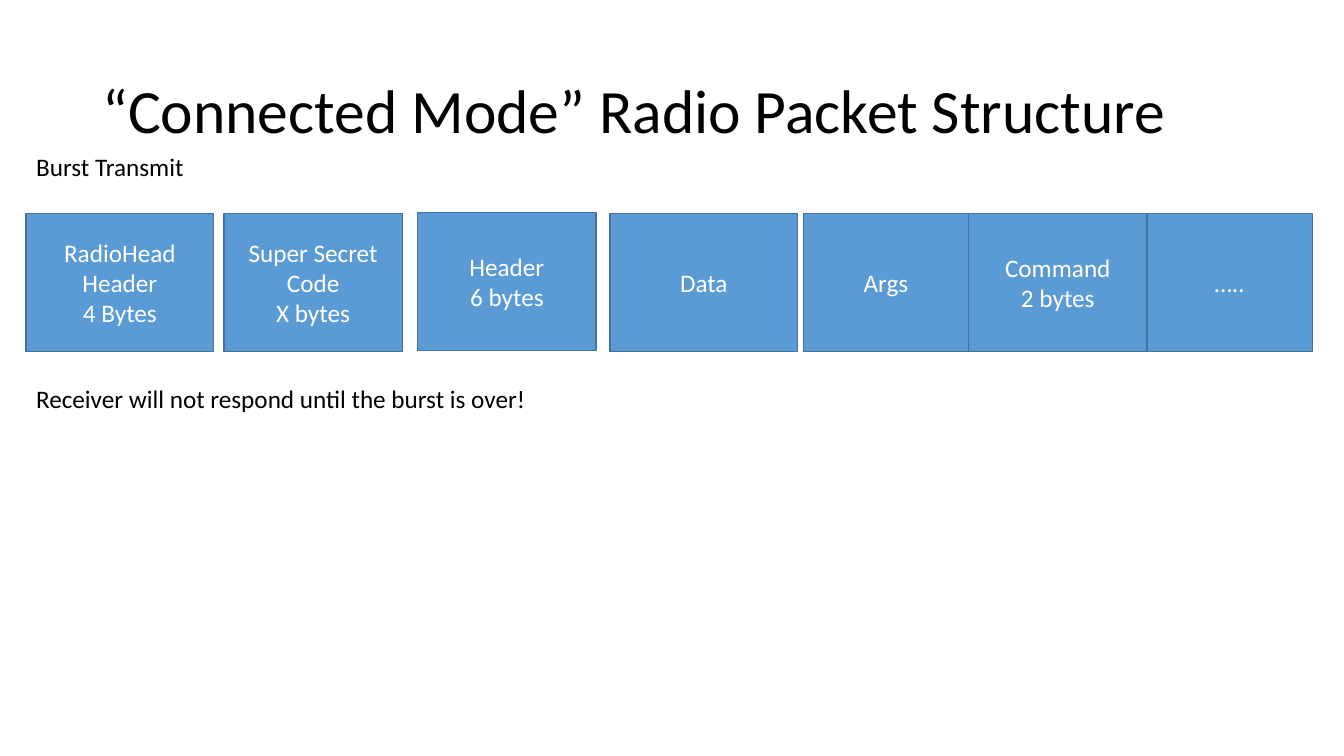
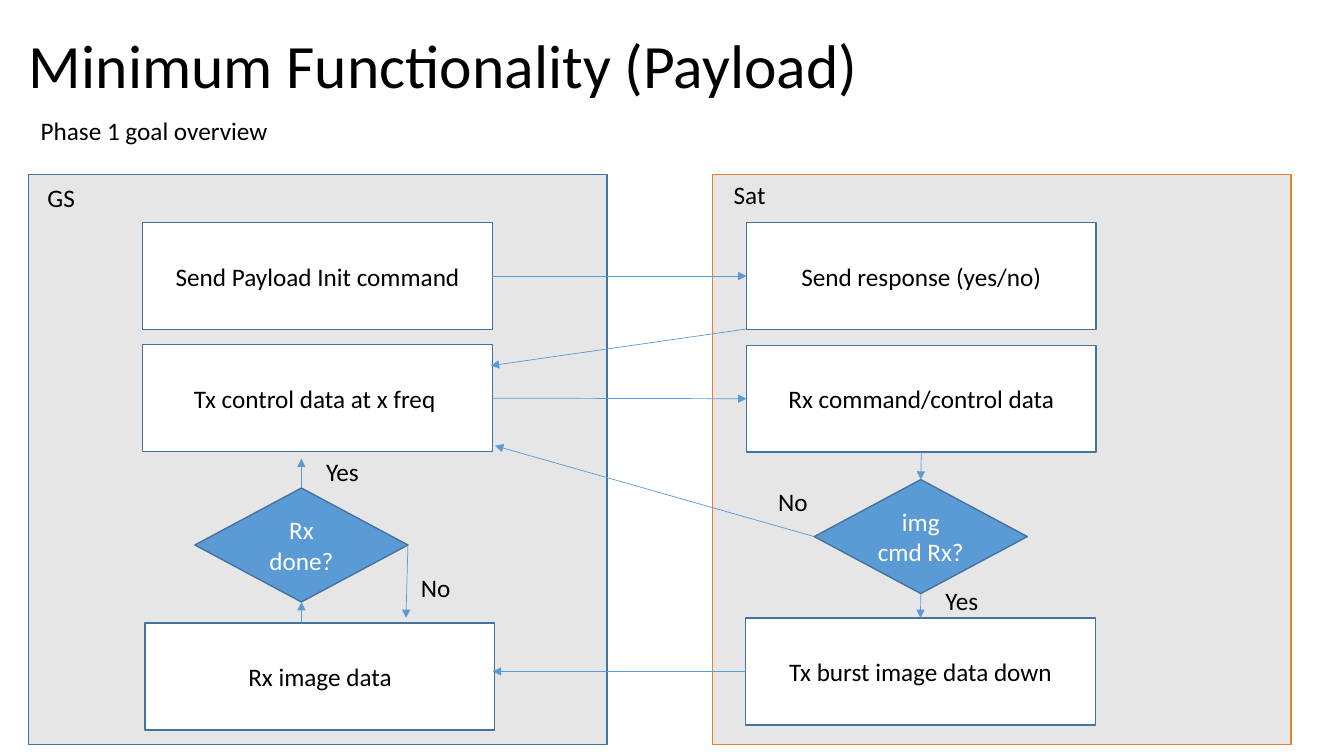
from dataclasses import dataclass
from typing import Any, Optional

import lxml.etree
import pptx
import pptx.dml.color
import pptx.enum.shapes
import pptx.enum.text
import pptx.oxml.ns
import pptx.util

Pt = pptx.util.Pt
RGBColor = pptx.dml.color.RGBColor
Shapes = pptx.enum.shapes.MSO_SHAPE
Align = pptx.enum.text.PP_ALIGN
Anchor = pptx.enum.text.MSO_ANCHOR

BLACK = RGBColor(0x00, 0x00, 0x00)
WHITE = RGBColor(0xFF, 0xFF, 0xFF)
BLUE = RGBColor(0x5B, 0x9B, 0xD5)
DARK_BLUE = RGBColor(0x43, 0x73, 0x9E)
ORANGE = RGBColor(0xED, 0x7D, 0x31)
GREY = RGBColor(0xE7, 0xE6, 0xE6)

FONT_NAME = "Calibri"
BODY_SIZE, TITLE_SIZE = 18, 44
TITLE_WIDTH, TITLE_HEIGHT = 828, 104.4
LABEL_HEIGHT = 28.8
TOP, LEFT, BOTTOM, RIGHT = range(4)


@dataclass(frozen=True)
class Style:
    kind: Any
    fill: RGBColor
    text: RGBColor
    line: RGBColor = DARK_BLUE


@dataclass(frozen=True)
class Box:
    text: str
    left: float
    top: float
    width: float
    height: float
    style: Style


@dataclass(frozen=True)
class Label:
    text: str
    left: float
    top: float
    width: float = 130


@dataclass(frozen=True)
class End:
    """A side of a named box, or a free point."""
    box: str = ""
    side: int = 0
    x: float = 0
    y: float = 0


@dataclass(frozen=True)
class Arrow:
    begin: End
    end: End


FIELD = Style(Shapes.RECTANGLE, BLUE, WHITE)
STEP = Style(Shapes.RECTANGLE, WHITE, BLACK)
DECISION = Style(Shapes.FLOWCHART_DECISION, BLUE, WHITE)
GROUND_PANEL = Style(Shapes.RECTANGLE, GREY, BLACK)
SATELLITE_PANEL = Style(Shapes.RECTANGLE, GREY, BLACK, ORANGE)

FIELD_TOP, FIELD_HEIGHT = 152.6, 98.6
WIDE, MEDIUM, NARROW = 133.9, 127.4, 118.1
FIELDS = [
    Box(text, left, top, width, FIELD_HEIGHT, FIELD)
    for text, left, top, width in [
        ("RadioHead Header\n4 Bytes", 18.7, FIELD_TOP, WIDE),
        ("Super Secret Code\nX bytes", 160, FIELD_TOP, MEDIUM),
        ("Header\n6 bytes", 298.4, FIELD_TOP - 0.7, MEDIUM),
        ("Data", 435.8, FIELD_TOP, WIDE),
        ("Args", 573.8, FIELD_TOP, NARROW),
        ("Command\n2 bytes", 573.8 + NARROW, FIELD_TOP, MEDIUM),
        ("…..", 573.8 + NARROW + MEDIUM, FIELD_TOP, NARROW),
    ]
]
PACKET_LABELS = [
    Label("Burst Transmit", 18.7, 104.4, 140),
    Label("Receiver will not respond until the burst is over!", 18.7, 270.4, 390),
]

PANELS = [
    Box("", left, 124.8, 413.3, 406.8, style)
    for left, style in [(20.2, GROUND_PANEL), (509, SATELLITE_PANEL)]
]
SEND_INIT = "Send Payload Init command"
SEND_CONTROL = "Tx control data at x freq "
RECEIVE_IMAGE = "Rx image data"
RESPOND = "Send response (yes/no)"
RECEIVE_CONTROL = "Rx command/control data"
SEND_IMAGE = "Tx burst image data down"
IMAGE_ASKED = "img cmd Rx?"
RECEIVE_DONE = "Rx done?"
STEPS = [
    Box(text, left, top, 249.8, 76.4, STEP)
    for text, left, top in [
        (SEND_INIT, 102, 159),
        (SEND_CONTROL, 102, 246.2),
        (RECEIVE_IMAGE, 103.7, 445),
        (RESPOND, 533.2, 159),
        (RECEIVE_CONTROL, 533.2, 246.6),
        (SEND_IMAGE, 532.6, 441.4),
    ]
]
DECISIONS = [
    Box(text, left, top, 152.2, 81.4, DECISION)
    for text, left, top in [(IMAGE_ASKED, 581.6, 342.6), (RECEIVE_DONE, 139.2, 348.6)]
]
ARROWS = [
    Arrow(End(SEND_INIT, RIGHT), End(RESPOND, LEFT)),
    Arrow(End(x=533.2, y=235), End(x=350.6, y=261.2)),
    Arrow(End(SEND_CONTROL, RIGHT), End(RECEIVE_CONTROL, LEFT)),
    Arrow(End(RECEIVE_CONTROL, BOTTOM), End(IMAGE_ASKED, TOP)),
    Arrow(End(IMAGE_ASKED, LEFT), End(x=353.6, y=318.4)),
    Arrow(End(IMAGE_ASKED, BOTTOM), End(SEND_IMAGE, TOP)),
    Arrow(End(SEND_IMAGE, LEFT), End(x=352, y=479.6)),
    Arrow(End(x=215.3, y=445), End(RECEIVE_DONE, BOTTOM)),
    Arrow(End(RECEIVE_DONE, RIGHT), End(x=290, y=441.4)),
    Arrow(End(RECEIVE_DONE, TOP), End(x=215.3, y=327.6)),
]
FLOW_LABELS = [
    Label("GS", 26.8, 127),
    Label("Sat", 517, 124.8),
    Label("Phase 1 goal overview", 22, 78.6, 569),
    Label("No", 548.8, 343.6),
    Label("No", 293.6, 405.4),
    Label("Yes", 225.8, 322.4),
    Label("Yes", 668.2, 414.8),
]


def write_text(shape: Any, text: str, color: RGBColor, size: float = BODY_SIZE,
               anchor: Any = Anchor.TOP, **paragraph_format: Any) -> None:
    frame = shape.text_frame
    frame.word_wrap = True
    frame.vertical_anchor = anchor
    frame.text = text
    for paragraph in frame.paragraphs:
        for name, value in paragraph_format.items():
            setattr(paragraph, name, value)
        for name, value in {"name": FONT_NAME, "size": Pt(size)}.items():
            setattr(paragraph.font, name, value)
        paragraph.font.color.rgb = color


def add_title(slide: Any, text: str, left: float, top: float) -> None:
    shape = slide.shapes.add_textbox(Pt(left), Pt(top), Pt(TITLE_WIDTH), Pt(TITLE_HEIGHT))
    write_text(shape, text, BLACK, TITLE_SIZE, Anchor.MIDDLE, line_spacing=0.9)


def add_label(slide: Any, label: Label) -> None:
    shape = slide.shapes.add_textbox(
        Pt(label.left), Pt(label.top), Pt(label.width), Pt(LABEL_HEIGHT))
    write_text(shape, label.text, BLACK)


def add_box(slide: Any, box: Box) -> Any:
    style = box.style
    shape = slide.shapes.add_shape(
        style.kind, Pt(box.left), Pt(box.top), Pt(box.width), Pt(box.height))
    shape.shadow.inherit = False
    shape.fill.solid()
    shape.fill.fore_color.rgb = style.fill
    shape.line.color.rgb = style.line
    shape.line.width = Pt(1)
    if box.text:
        write_text(shape, box.text, style.text, anchor=Anchor.MIDDLE, alignment=Align.CENTER)
    return shape


def add_arrow(slide: Any, arrow: Arrow, boxes: dict[str, Any]) -> None:
    begin, end = arrow.begin, arrow.end
    connector = slide.shapes.add_connector(
        pptx.enum.shapes.MSO_CONNECTOR.STRAIGHT, Pt(begin.x), Pt(begin.y), Pt(end.x), Pt(end.y))
    for target, connect in [(begin, connector.begin_connect), (end, connector.end_connect)]:
        if target.box:
            connect(boxes[target.box], target.side)
    connector.line.color.rgb = BLUE
    connector.line.width = Pt(0.5)
    qualified = pptx.oxml.ns.qn
    line = connector.line._get_or_add_ln()
    lxml.etree.SubElement(line, qualified("a:tailEnd"), type="triangle")
    lxml.etree.SubElement(connector._element.spPr, qualified("a:effectLst"))


def add_diagram(presentation: Any, title: Label, boxes: list[Box], labels: list[Label],
                arrows: Optional[list[Arrow]] = None) -> None:
    slide = presentation.slides.add_slide(presentation.slide_layouts[6])
    add_title(slide, title.text, title.left, title.top)
    shapes = {box.text: add_box(slide, box) for box in boxes}
    for arrow in arrows or []:
        add_arrow(slide, arrow, shapes)
    for label in labels:
        add_label(slide, label)


def main() -> None:
    presentation = pptx.Presentation()
    presentation.slide_width, presentation.slide_height = Pt(960), Pt(540)
    add_diagram(presentation, Label("“Connected Mode” Radio Packet Structure", 66, 28.8),
                FIELDS, PACKET_LABELS)
    add_diagram(presentation, Label("Minimum Functionality (Payload)", 13.6, -3.6),
                PANELS + STEPS + DECISIONS, FLOW_LABELS, ARROWS)
    presentation.save("out.pptx")


if __name__ == "__main__":
    main()
